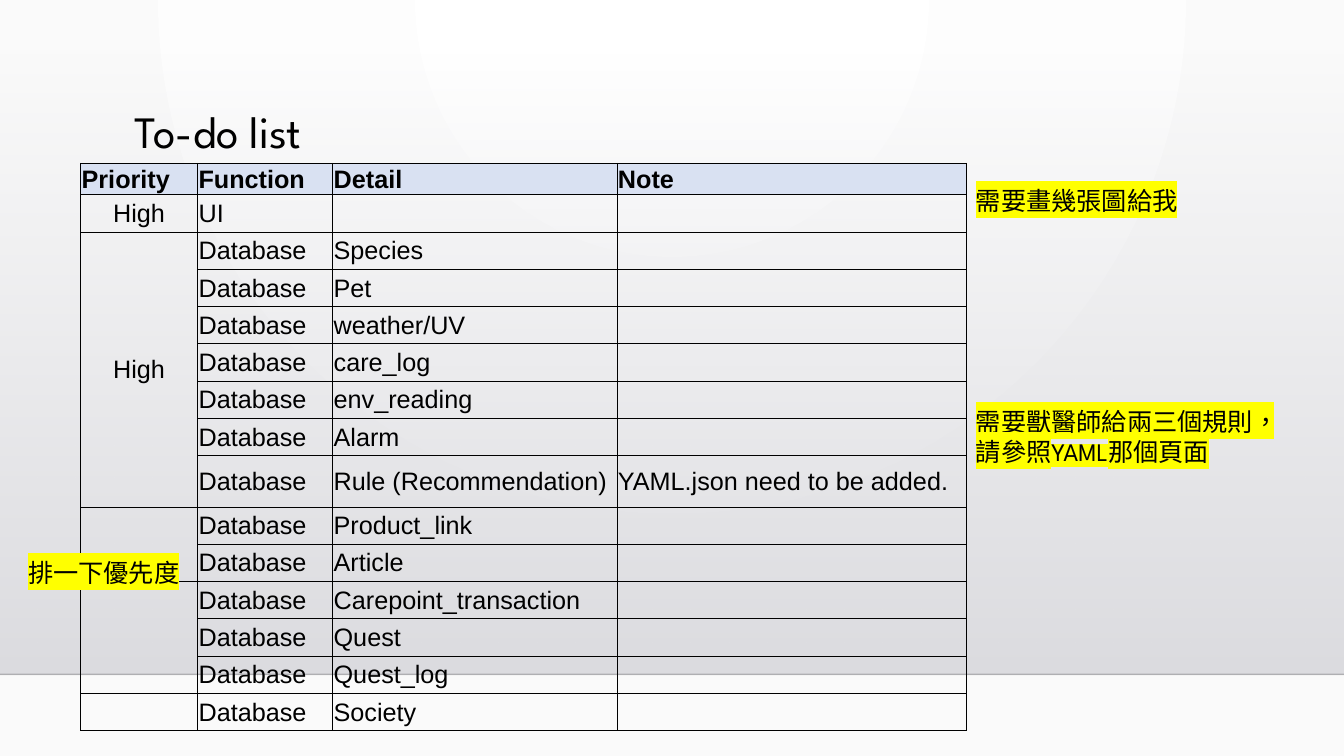
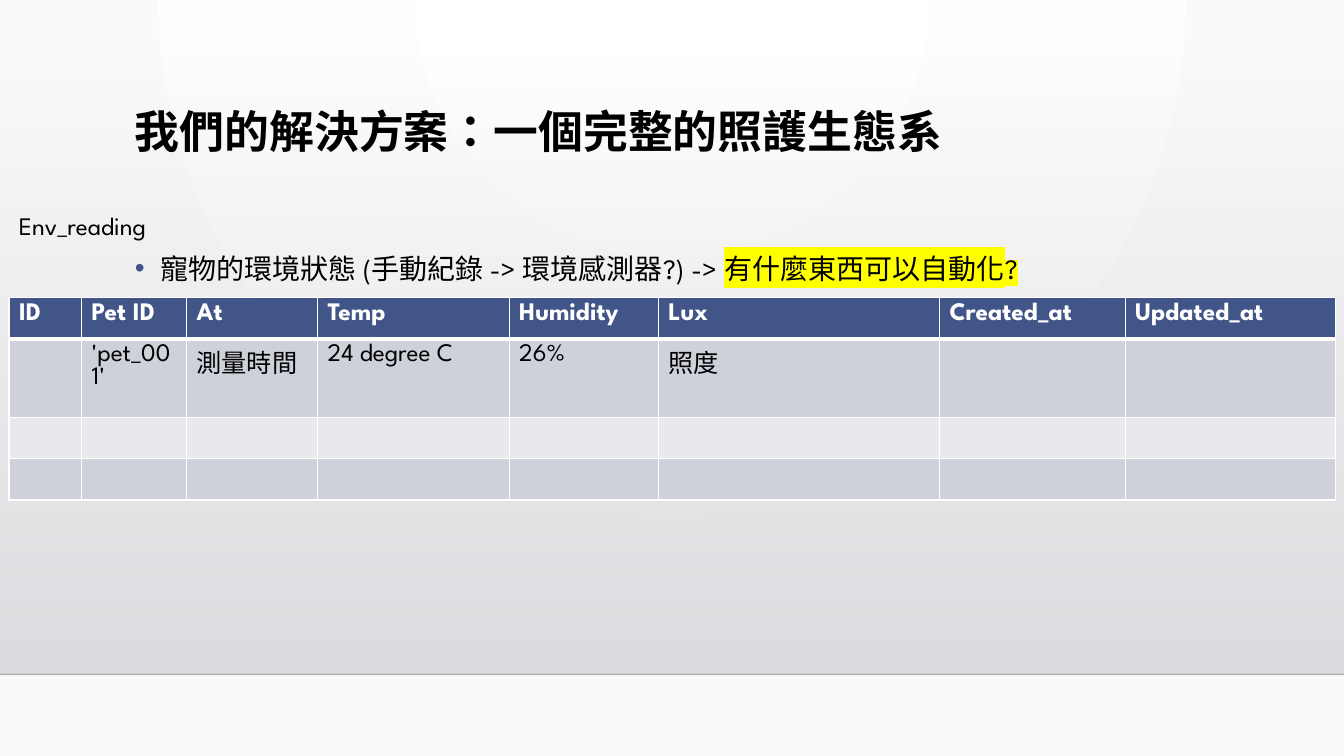
"""Build a two-page deck with a to-do table and a sensor reading table."""
from dataclasses import dataclass

from lxml import etree
from pptx import Presentation
from pptx import util as u
from pptx.dml import color
from pptx.enum import shapes, text
from pptx.oxml import ns


@dataclass(frozen=True)
class Theme:
    font: str = "League Spartan"
    grid_font: str = "Arial"
    ink: str = "000000"
    white: str = "FFFFFF"
    paper: str = "FAFAFA"
    band_top: str = "DCDCE0"
    band_bottom: str = "DEDEE2"
    rule: str = "000001"
    accent: str = "415588"
    marker: str = "FFFF00"
    pale_blue: str = "D9E1F2"
    stripe_dark: str = "CFD1DA"
    stripe_light: str = "E9E9ED"
    title_size: int = 32
    body_size: int = 20
    text_size: int = 18


THEME = Theme()
WIDTH, HEIGHT = 13.33, 7.5


def rgb(value):
    return color.RGBColor.from_string(value)


def child(parent, tag, **attributes):
    return etree.SubElement(parent, ns.qn(tag), **attributes)


def set_stops(fill, first, last):
    fill.gradient()
    for stop, value in zip(fill.gradient_stops, (first, last)):
        stop.color.rgb = rgb(value)


def set_alpha(element, percent):
    solid = next(element.iter(ns.qn("a:srgbClr")))
    child(solid, "a:alpha", val=str(percent * 1000))


class Slides:
    def __init__(self):
        self.deck = Presentation()
        self.deck.slide_width = u.Inches(WIDTH)
        self.deck.slide_height = u.Inches(HEIGHT)
        self.page = None
        self.backdrop()

    def backdrop(self):
        master = self.deck.slide_master
        set_stops(master.background.fill, THEME.white, THEME.paper)
        gradient = next(master.element.iter(ns.qn("a:gradFill")))
        gradient.remove(gradient.find(ns.qn("a:lin")))
        glow = child(gradient, "a:path", path="circle")
        child(glow, "a:fillToRect", l="43000", t="0", r="43000", b="100000")

    def new_page(self, title, bold=False):
        self.page = self.deck.slides.add_slide(self.deck.slide_layouts[6])
        self.band()
        self.rule(6.69)
        para = self.text_box((1.24, 1.04, 10.5, 1.15))
        para.line_spacing = 0.9
        self.span(para, title, THEME.title_size, bold=bold)

    def band(self):
        band = self.page.shapes.add_shape(
            shapes.MSO_SHAPE.RECTANGLE, 0, u.Inches(0.51), u.Inches(WIDTH), u.Inches(6.18))
        band.shadow.inherit = False
        band.line.fill.background()
        set_stops(band.fill, THEME.band_top, THEME.band_bottom)
        band.fill.gradient_angle = 270
        set_alpha(band.element.spPr, 0)

    def rule(self, top):
        rule = self.page.shapes.add_connector(
            shapes.MSO_CONNECTOR.STRAIGHT, 0, u.Inches(top), u.Inches(WIDTH), u.Inches(top))
        rule.line.color.rgb = rgb(THEME.rule)
        rule.line.width = u.Pt(1)
        set_alpha(rule.line.fill._xPr, 20)
        child(rule._element.spPr, "a:effectLst")

    def text_box(self, place):
        box = self.page.shapes.add_textbox(*map(u.Inches, place))
        box.text_frame.word_wrap = True
        return box.text_frame.paragraphs[0]

    def span(self, para, words, size=THEME.text_size, ink=THEME.ink,
             font=THEME.font, bold=False, marked=False):
        span = para.add_run()
        span.text = words
        span.font.size = u.Pt(size)
        span.font.bold = bold
        span.font.name = font
        span.font.color.rgb = rgb(ink)
        props = span._r.get_or_add_rPr()
        props.set("lang", "zh-TW")
        if marked:
            highlight = etree.Element(ns.qn("a:highlight"))
            child(highlight, "a:srgbClr", val=THEME.marker)
            props.find(ns.qn("a:solidFill")).addnext(highlight)

    def note(self, place, words, marked=True):
        self.span(self.text_box(place), words, marked=marked)

    def bullet(self, place, spans):
        para = self.text_box(place)
        para.line_spacing = 1.2
        para.space_before = u.Pt(10)
        props = para._p.get_or_add_pPr()
        props.set("marL", str(u.Inches(0.25)))
        props.set("indent", str(u.Inches(-0.25)))
        child(child(props, "a:buClr"), "a:srgbClr", val=THEME.accent)
        child(props, "a:buFont", typeface="Arial")
        child(props, "a:buChar", char="•")
        for words, marked in spans:
            self.span(para, words, THEME.body_size, marked=marked)

    def table(self, left, top, widths, heights):
        frame = self.page.shapes.add_table(
            len(heights), len(widths), u.Inches(left), u.Inches(top),
            u.Inches(sum(widths)), u.Inches(sum(heights)))
        table = frame.table
        table.horz_banding = False
        for column, width in zip(table.columns, widths):
            column.width = u.Inches(width)
        for row, height in zip(table.rows, heights):
            row.height = u.Inches(height)
        return table

    def cell(self, cell, words, fill, line, edges, **style):
        props = cell._tc.get_or_add_tcPr()
        for side, points in zip("LRTB", edges):
            edge = child(props, f"a:ln{side}", w=str(u.Pt(points)))
            child(child(edge, "a:solidFill"), "a:srgbClr", val=line)
        if fill:
            cell.fill.solid()
            cell.fill.fore_color.rgb = rgb(fill)
        else:
            cell.fill.background()
        para = cell.text_frame.paragraphs[0]
        if words:
            self.span(para, words, **style)
        return para

    def todo_table(self, rows, merges):
        heights = [0.51 if row[3] and index else 0.37 for index, row in enumerate(rows)]
        heights[0] = 0.29
        table = self.table(0.8, 1.62, (1.16, 1.34, 2.82, 3.46), heights)
        for r, row in enumerate(rows):
            for c, words in enumerate(row):
                cell = table.cell(r, c)
                cell.margin_left = cell.margin_right = cell.margin_top = u.Inches(0.01)
                cell.margin_bottom = 0
                cell.vertical_anchor = text.MSO_ANCHOR.MIDDLE
                para = self.cell(cell, words, None if r else THEME.pale_blue, THEME.ink,
                                 (0.5,) * 4, font=THEME.grid_font, bold=r == 0)
                if r and c == 0:
                    para.alignment = text.PP_ALIGN.CENTER
        for first, last in merges:
            table.cell(first, 0).merge(table.cell(last, 0))

    def reading_table(self, rows):
        widths = (0.72, 1.04, 1.3, 1.9, 1.48, 2.79, 1.84, 2.09)
        table = self.table(0.09, 2.95, widths, (0.41, 0.78, 0.41, 0.41))
        fills = (THEME.accent, THEME.stripe_dark, THEME.stripe_light, THEME.stripe_dark)
        for r, (row, fill) in enumerate(zip(rows, fills)):
            edges = (1, 1, 3 if r == 1 else 1, 1 if r else 3)
            for c, words in enumerate(row):
                self.cell(table.cell(r, c), words, fill, THEME.white, edges,
                          ink=THEME.ink if r else THEME.white, bold=r == 0)


def main():
    slides = Slides()

    slides.new_page("To-do list")
    details = ("Species", "Pet", "weather/UV", "care_log", "env_reading", "Alarm",
               "Rule (Recommendation)", "Product_link", "Article",
               "Carepoint_transaction", "Quest", "Quest_log", "Society")
    remarks = {"Rule (Recommendation)": "YAML.json need to be added."}
    rows = [("Priority", "Function", "Detail", "Note"), ("High", "UI", "", "")]
    rows += [("High" if detail == "Species" else "", "Database", detail,
              remarks.get(detail, "")) for detail in details]
    slides.todo_table(rows, merges=((2, 8), (9, 10), (11, 13)))
    slides.note((9.58, 1.79, 3.15, 0.4), "需要畫幾張圖給我")
    slides.note((9.58, 3.98, 3.15, 0.71), "需要獸醫師給兩三個規則，請參照YAML那個頁面")
    slides.note((0.18, 5.48, 3.15, 0.4), "排一下優先度")

    slides.new_page("我們的解決方案：一個完整的照護生態系", bold=True)
    slides.bullet((1.24, 2.38, 10.5, 1.15), (
        ("寵物的環境狀態 (手動紀錄 -> 環境感測器?) -> ", False),
        ("有什麼東西可以自動化?", True)))
    blank = ("",) * 8
    slides.reading_table((
        ("ID", "Pet ID", "At", "Temp", "Humidity", "Lux", "Created_at", "Updated_at"),
        ("", "'pet_001'", "測量時間", "24 degree C", "26%", "照度", "", ""),
        blank, blank))
    slides.note((0.09, 2.04, 1.97, 0.4), "Env_reading", marked=False)

    slides.deck.save("out.pptx")


if __name__ == "__main__":
    main()
